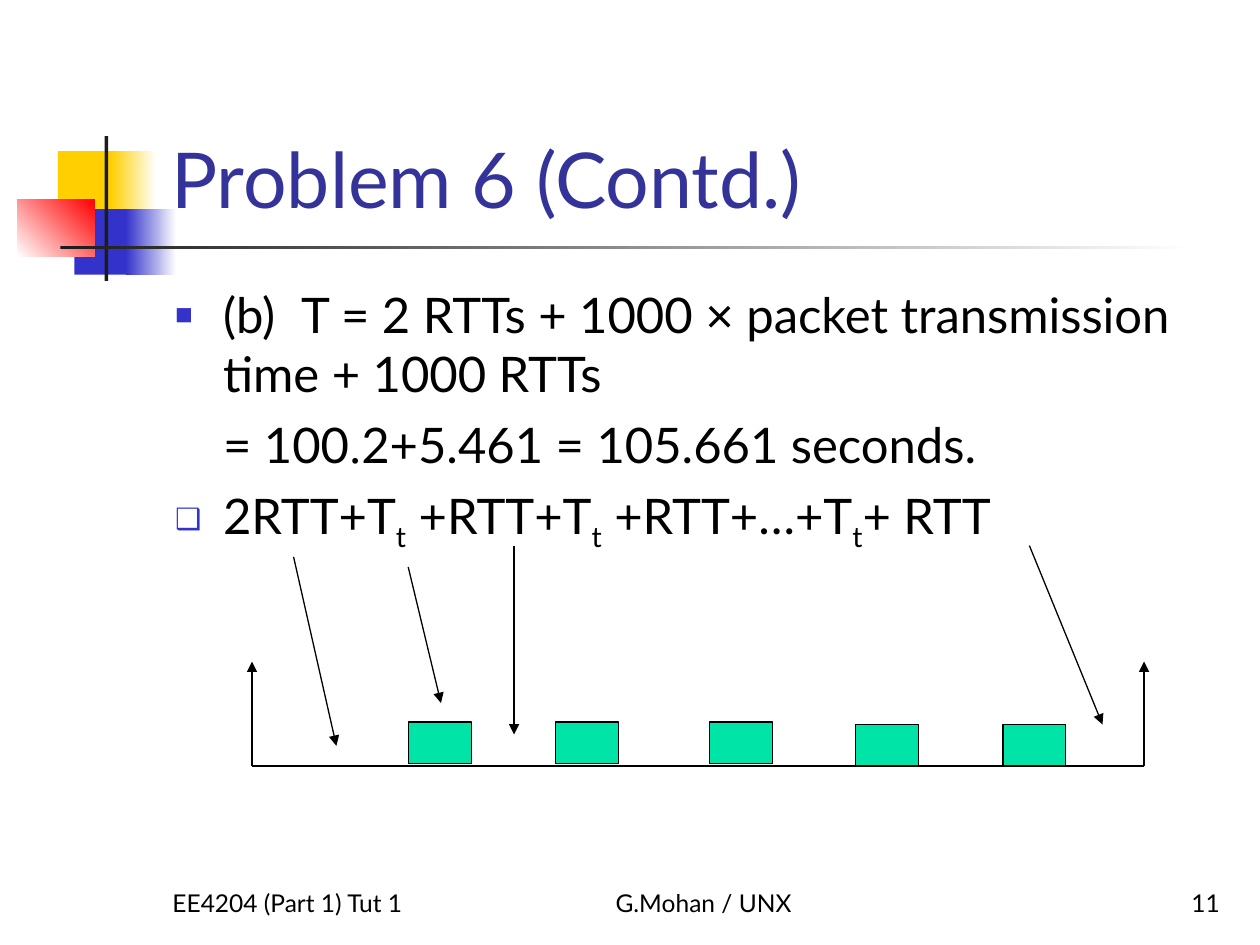
"""Build the slide that works out part (b) of Problem 6 with a packet timeline."""
from pptx import Presentation
from pptx import util as u
from pptx.dml import color
from pptx.enum import shapes, text
from pptx.oxml import ns, xmlchemy

WHITE = color.RGBColor(0xFF, 0xFF, 0xFF)
BLACK = color.RGBColor(0x00, 0x00, 0x00)
CHARCOAL = color.RGBColor(0x1C, 0x1C, 0x1C)
YELLOW = color.RGBColor(0xFF, 0xCF, 0x01)
BLUE = color.RGBColor(0x33, 0x33, 0xCC)
RED = color.RGBColor(0xFF, 0x00, 0x00)
TITLE_BLUE = color.RGBColor(0x33, 0x33, 0x99)
GREEN = color.RGBColor(0x00, 0xE4, 0xA8)


class SlideBuilder:
    """Hold the slide and the style shared by its elements."""

    font = "Lato"
    line_width = u.Pt(0.75)
    indent = u.Inches(0.38)

    def __init__(self, slide):
        self.slide = slide
        self.shapes = slide.shapes

    def add_xml(self, parent, tag, **attributes):
        """Append a drawing element to the parent and return it."""
        child = xmlchemy.OxmlElement(tag)
        for key, value in attributes.items():
            child.set(key, str(value))
        parent.append(child)
        return child

    def format_run(self, run, size, ink=BLACK, font=None):
        """Apply size, colour and typeface to a run."""
        run.font.size = u.Pt(size)
        run.font.name = font or self.font
        run.font.color.rgb = ink

    def rect(self, box, fill, fade_to=None, angle=0, outline=None):
        """Add a rectangle with a plain fill or a two-colour fade."""
        block = self.shapes.add_shape(shapes.MSO_SHAPE.RECTANGLE, *map(u.Inches, box))
        block.shadow.inherit = False
        if fade_to is None:
            block.fill.solid()
            block.fill.fore_color.rgb = fill
        else:
            block.fill.gradient()
            block.fill.gradient_angle = angle
            for stop, shade in zip(block.fill.gradient_stops, (fill, fade_to)):
                stop.color.rgb = shade
        if outline is None:
            block.line.fill.background()
        else:
            block.line.color.rgb = outline
            block.line.width = self.line_width

    def line(self, start, end, arrow=True):
        """Add a thin black line, with an arrowhead at its end by default."""
        stroke = self.shapes.add_connector(
            shapes.MSO_CONNECTOR.STRAIGHT, *map(u.Inches, start + end))
        stroke.line.color.rgb = BLACK
        stroke.line.width = self.line_width
        if arrow:
            self.add_xml(stroke.line._get_or_add_ln(), "a:tailEnd", type="triangle")
        self.add_xml(stroke._element.spPr, "a:effectLst")

    def placeholder(self, index, box, anchor):
        """Place a template placeholder in front and return its text frame."""
        holder = self.slide.placeholders[index]
        self.shapes._spTree.append(holder._element)
        holder.left, holder.top, holder.width, holder.height = map(u.Inches, box)
        frame = holder.text_frame
        frame.auto_size = text.MSO_AUTO_SIZE.NONE
        frame.vertical_anchor = anchor
        return frame

    def title(self, box, wording):
        """Fill the title placeholder."""
        frame = self.placeholder(0, box, text.MSO_ANCHOR.BOTTOM)
        frame.text = wording
        frame.paragraphs[0].alignment = text.PP_ALIGN.LEFT
        self.format_run(frame.paragraphs[0].runs[0], 44, TITLE_BLUE)

    def body(self, box, items):
        """Fill the body placeholder with (bullet, runs) items."""
        frame = self.placeholder(1, box, text.MSO_ANCHOR.TOP)
        for number, (bullet, pieces) in enumerate(items):
            paragraph = frame.add_paragraph() if number else frame.paragraphs[0]
            paragraph.space_before = u.Pt(7)
            self.bullet(paragraph, bullet)
            for wording, style in pieces:
                run = paragraph.add_run()
                run.text = wording
                self.format_run(run, 28, font=None if style == "sub" else style)
                if style == "sub":
                    run._r.get_or_add_rPr().set("baseline", "-25000")

    def bullet(self, paragraph, mark):
        """Indent a paragraph and give it a bullet, or none."""
        props = paragraph._p.get_or_add_pPr()
        props.set("marL", str(self.indent))
        props.set("indent", str(-self.indent if mark else 0))
        if mark:
            tint = self.add_xml(props, "a:buClr")
            self.add_xml(tint, "a:srgbClr", val=BLUE)
            self.add_xml(props, "a:buSzPct", val=60000)
            self.add_xml(props, "a:buFont", typeface="Arial")
            self.add_xml(props, "a:buChar", char=mark)
        else:
            self.add_xml(props, "a:buNone")
        stops = self.add_xml(props, "a:tabLst")
        self.add_xml(stops, "a:tab", pos=u.Inches(1), algn="l")

    def footer(self, left, width, wording, alignment):
        """Add one part of the footer line."""
        box = self.shapes.add_textbox(*map(u.Inches, (left, 6.83, width, 0.5)))
        frame = box.text_frame
        frame.word_wrap = True
        frame.vertical_anchor = text.MSO_ANCHOR.BOTTOM
        frame.text = wording
        frame.paragraphs[0].alignment = alignment
        self.format_run(frame.paragraphs[0].runs[0], 14)


def main():
    """Build the slide and save it."""
    deck = Presentation()
    deck.slide_width, deck.slide_height = u.Inches(10), u.Inches(7.5)
    page = SlideBuilder(deck.slides.add_slide(deck.slide_layouts[1]))

    page.rect((0.46, 1.2, 0.48, 0.52), YELLOW)
    page.rect((0.88, 1.2, 0.36, 0.52), YELLOW, WHITE)
    page.rect((0.59, 1.66, 0.46, 0.52), BLUE)
    page.rect((1, 1.66, 0.4, 0.52), BLUE, WHITE)
    page.rect((0.14, 1.58, 0.61, 0.46), WHITE, RED, angle=45)
    page.rect((0.83, 1.08, 0.03, 1.15), CHARCOAL)
    page.rect((0.48, 1.95, 9, 0.03), CHARCOAL, WHITE)

    page.title((1.26, 0.23, 8.52, 1.6), "Problem 6 (Contd.)")
    subscript = ("t", "sub")
    page.body((1.29, 2.21, 8.5, 4.5), [
        ("■", [("(b)\tT = 2 RTTs + 1000 ", None), ("×", "Arial"),
               (" packet transmission time + 1000 RTTs", None)]),
        (None, [("= 100", None), (".", "Times New Roman"),
                ("2+5.461 = 105.661 seconds.", None)]),
        ("❑", [("2RTT+T", None), subscript, (" +RTT+T", None), subscript,
               (" +RTT+…+T", None), subscript, ("+ RTT", None)]),
    ])

    page.footer(1.27, 2.08, "EE4204 (Part 1) Tut 1", text.PP_ALIGN.LEFT)
    page.footer(4, 3.17, "G.Mohan / UNX", text.PP_ALIGN.CENTER)
    page.footer(7.7, 2.08, "11", text.PP_ALIGN.RIGHT)

    start, finish, base = 2, 9.08, 6.08
    page.line((start, base), (finish, base), arrow=False)
    for moment in (start, finish):
        page.line((moment, base), (moment, 5.25))
    packets = ((3.24, 5.73), (4.41, 5.73), (5.63, 5.73), (6.79, 5.75), (7.96, 5.75))
    for left, top in packets:
        page.rect((left, top, 0.5, 0.33), GREEN, outline=BLACK)
    pointers = (((2.33, 4.42), (2.67, 5.92)), ((3.24, 4.5), (3.5, 5.58)),
                ((4.08, 4.33), (4.08, 5.83)), ((8.17, 4.33), (8.75, 5.75)))
    for term, interval in pointers:
        page.line(term, interval)

    deck.save("out.pptx")


if __name__ == "__main__":
    main()
